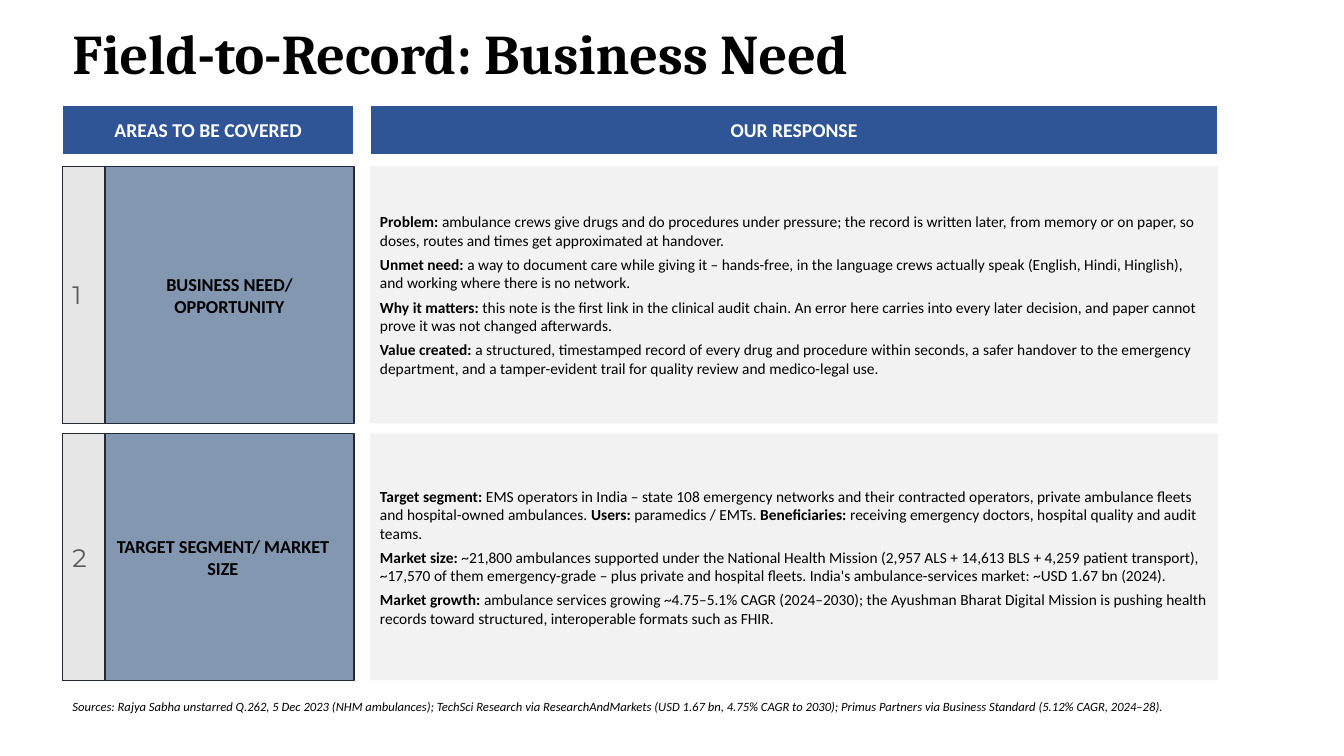
from pptx import Presentation
from pptx.dml.color import RGBColor
from pptx.enum import shapes, text
from pptx.util import Emu, Inches, Pt

TITLE = "Field-to-Record: Business Need"
HEADERS = ("AREAS TO BE COVERED", "OUR RESPONSE")
# Paragraphs are lists of (bold lead, plain text) pairs.
NEED = [
    [("Problem: ", "ambulance crews give drugs and do procedures under pressure; the record is "
      "written later, from memory or on paper, so doses, routes and times get approximated at handover.")],
    [("Unmet need: ", "a way to document care while giving it – hands-free, in the language crews "
      "actually speak (English, Hindi, Hinglish), and working where there is no network.")],
    [("Why it matters: ", "this note is the first link in the clinical audit chain. An error here "
      "carries into every later decision, and paper cannot prove it was not changed afterwards.")],
    [("Value created: ", "a structured, timestamped record of every drug and procedure within seconds, "
      "a safer handover to the emergency department, and a tamper-evident trail for quality review "
      "and medico-legal use.")],
]
MARKET = [
    [("Target segment: ", "EMS operators in India – state 108 emergency networks and their contracted "
      "operators, private ambulance fleets and hospital-owned ambulances. "),
     ("Users: ", "paramedics / EMTs. "),
     ("Beneficiaries: ", "receiving emergency doctors, hospital quality and audit teams.")],
    [("Market size: ", "~21,800 ambulances supported under the National Health Mission (2,957 ALS + "
      "14,613 BLS + 4,259 patient transport), ~17,570 of them emergency-grade – plus private and "
      "hospital fleets. India's ambulance-services market: ~USD 1.67 bn (2024).")],
    [("Market growth: ", "ambulance services growing ~4.75–5.1% CAGR (2024–2030); the Ayushman Bharat "
      "Digital Mission is pushing health records toward structured, interoperable formats such as FHIR.")],
]
# label, label offset from the left column edge, label text indent, height, response
ROWS = [
    ("BUSINESS NEED/ OPPORTUNITY", 0.42, 0, 2.55, NEED),
    ("TARGET SEGMENT/ MARKET SIZE", 0, 0.29, 2.45, MARKET),
]
SOURCES = ("Sources: Rajya Sabha unstarred Q.262, 5 Dec 2023 (NHM ambulances); TechSci Research via "
           "ResearchAndMarkets (USD 1.67 bn, 4.75% CAGR to 2030); Primus Partners via Business Standard "
           "(5.12% CAGR, 2024–28).")

THEME = {
    "header": "2F5597", "label": "8497B0", "number": "E7E6E6", "response": "F2F2F2",
    "edge": "222A35", "white": "FFFFFF", "black": "000000", "grey": "595959",
    "title_size": 40, "header_size": 14, "label_size": 13, "number_size": 18,
    "body_size": 11, "source_size": 9,
    "body_font": "Calibri", "title_font": "Cambria", "number_font": "Montserrat",
}
LEFT, AREA_W, NUMBER_W = 0.62, 2.89, 0.42
RESPONSE_X, RESPONSE_W = 3.67, 8.41
HEADER_Y, HEADER_H = 1.04, 0.5
ROWS_Y, ROW_GAP = 1.65, 0.1
CENTER, START = text.PP_ALIGN.CENTER, text.PP_ALIGN.LEFT

prs = Presentation()
prs.slide_width, prs.slide_height = Inches(13.33), Inches(7.5)
slide = prs.slides.add_slide(prs.slide_layouts[6])


def add_run(p, words, size, color="black", font="body_font", bold=False, italic=False):
    r = p.add_run()
    r.text = words
    r.font.size = Pt(THEME[size])
    r.font.name = THEME[font]
    r.font.bold, r.font.italic = bold, italic
    r.font.color.rgb = RGBColor.from_string(THEME[color])


def add_panel(x, y, w, h, fill, edge=None, align=START):
    """Add a filled rectangle and return its text frame."""
    s = slide.shapes.add_shape(shapes.MSO_SHAPE.RECTANGLE, *map(Inches, (x, y, w, h)))
    s.shadow.inherit = False
    s.fill.solid()
    s.fill.fore_color.rgb = RGBColor.from_string(THEME[fill])
    if edge:
        s.line.color.rgb = RGBColor.from_string(THEME[edge])
        s.line.width = Pt(1)
    else:
        s.line.fill.background()
    tf = s.text_frame
    tf.word_wrap = True
    tf.vertical_anchor = text.MSO_ANCHOR.MIDDLE
    tf.paragraphs[0].alignment = align
    return tf


def add_note(x, y, w, h):
    """Add a wrapping text box and return its first paragraph."""
    tf = slide.shapes.add_textbox(*map(Inches, (x, y, w, h))).text_frame
    tf.word_wrap = True
    return tf, tf.paragraphs[0]


def add_response(tf, paragraphs):
    for i, pairs in enumerate(paragraphs):
        p = tf.add_paragraph() if i else tf.paragraphs[0]
        p.alignment = START
        if i:
            p.space_before = Pt(4)
        for lead, words in pairs:
            add_run(p, lead, "body_size", bold=True)
            add_run(p, words, "body_size")


tf, p = add_note(LEFT, 0.16, 11.5, 1.45)
tf.margin_top = Inches(0.1)
p.line_spacing = 0.9
add_run(p, TITLE, "title_size", font="title_font", bold=True)

columns = ((LEFT, AREA_W), (RESPONSE_X, RESPONSE_W))
for words, (x, w) in zip(HEADERS, columns):
    tf = add_panel(x, HEADER_Y, w, HEADER_H, "header", "white", CENTER)
    add_run(tf.paragraphs[0], words, "header_size", "white", bold=True)

y = ROWS_Y
for number, (label, offset, indent, h, response) in enumerate(ROWS, 1):
    tf = add_panel(LEFT + offset, y, AREA_W - offset, h, "label", "edge", CENTER)
    p = tf.paragraphs[0]
    if indent:
        p._p.get_or_add_pPr().set("marL", str(Emu(Inches(indent))))
    add_run(p, label, "label_size", bold=True)

    tf = add_panel(LEFT, y, NUMBER_W, h, "number", "edge")
    add_run(tf.paragraphs[0], str(number), "number_size", "grey", "number_font")

    add_response(add_panel(RESPONSE_X, y, RESPONSE_W, h, "response"), response)
    y += h + ROW_GAP

tf, p = add_note(LEFT, 6.88, 11.46, 0.35)
add_run(p, SOURCES, "source_size", italic=True)

prs.save("out.pptx")
